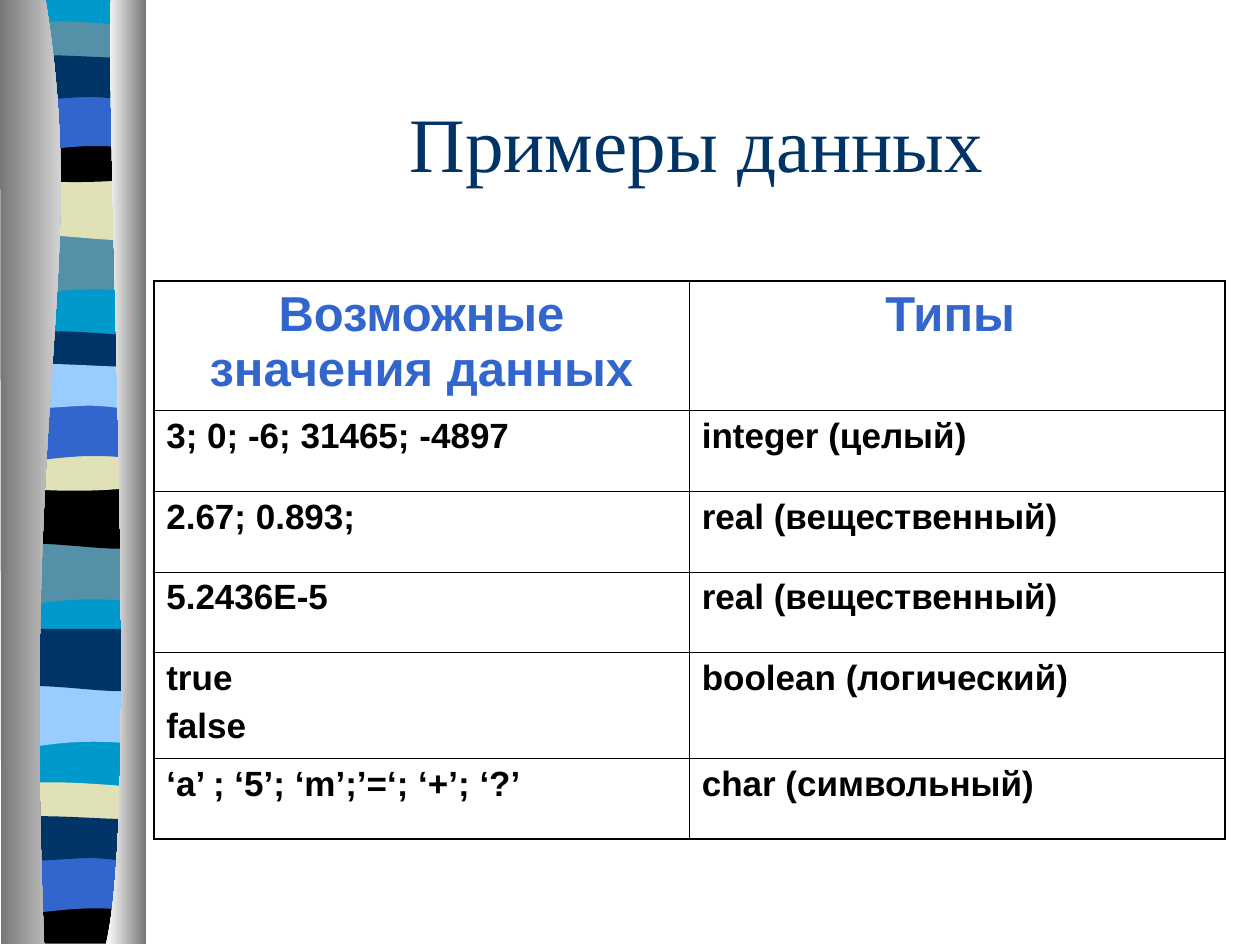
from dataclasses import dataclass

from lxml.etree import SubElement
from pptx import Presentation
from pptx.dml.color import RGBColor
from pptx.enum.shapes import MSO_SHAPE
from pptx.enum.text import MSO_ANCHOR, PP_ALIGN
from pptx.oxml.ns import qn
from pptx.util import Inches, Pt


@dataclass(frozen=True)
class Theme:
    navy: str = "003366"
    blue: str = "3366CC"
    cyan: str = "0099CC"
    teal: str = "5490A8"
    sky: str = "99CCFF"
    sand: str = "E1E1B7"
    black: str = "000000"
    white: str = "FFFFFF"
    grey: str = "767676"
    title_font: str = "Times New Roman"
    table_font: str = "Arial"
    title_size: int = 44
    header_size: int = 28
    body_size: int = 20
    outer_line: float = 1.08
    inner_line: float = 0.45


THEME = Theme()

# Outlines in hundredths of an inch; one point is a line, three are a curve.
OUTLINES = {
    "wave": [(108, 0), (108, 47), ((33, 39), (18, 55), (0, 47)), (0, 0)],
    "ripple": [(108, 0), (108, 47), ((90, 55), (33, 41), (0, 47)), (0, 0)],
    "tile": [(108, 5), (108, 29), ((90, 33), (18, 33), (0, 29)), (0, 5),
             ((6, 0), (23, 1), (41, 1)), ((59, 1), (94, 4), (108, 5))],
    "bowl": [(108, 0), (108, 32), ((90, 38), (18, 38), (0, 32)), (0, 0),
             ((66, 5), (85, 0), (108, 0))],
    "arch": [(108, 0), (108, 47), ((91, 42), (84, 42), (66, 42)),
             ((48, 42), (16, 47), (0, 47)), (0, 0)],
    "ribbon": [(108, 5), (108, 36), ((101, 41), (84, 36), (66, 36)),
               ((48, 36), (11, 41), (0, 36)), (0, 5),
               ((15, 0), (73, 5), (91, 5)), ((109, 5), (104, 5), (108, 5))],
    "base": [(108, 0), (108, 37), (0, 37), (0, 0), ((66, 5), (85, 0), (108, 0))],
    "left column": [(36, 0), ((71, 217), (17, 297), (35, 750)), (1, 750), (0, 0)],
    "right column": [(88, 0), ((84, 126), (111, 647), (84, 750)), (116, 750), (116, 0)],
}

# Outline, left, top and colour, from back to front.
BANDS = [
    ("wave", 0.06, 1.86, THEME.teal),
    ("ripple", 0.06, 1.42, THEME.sand),
    ("tile", 0.06, 0.17, THEME.teal),
    ("bowl", 0.06, 1.09, THEME.black),
    ("arch", 0.06, 0.75, THEME.blue),
    ("ribbon", 0.06, 0.42, THEME.navy),
    ("wave", 0.05, 4.32, THEME.teal),
    ("ripple", 0.05, 3.87, THEME.black),
    ("tile", 0.05, 2.63, THEME.navy),
    ("bowl", 0.05, 3.54, THEME.sand),
    ("arch", 0.05, 3.21, THEME.blue),
    ("ribbon", 0.05, 2.87, THEME.sky),
    ("wave", 0.06, 5.45, THEME.sky),
    ("ripple", 0.06, 5, THEME.navy),
    ("tile", 0.05, 6.21, THEME.sand),
    ("base", 0.05, 7.13, THEME.black),
    ("arch", 0.05, 6.8, THEME.blue),
    ("ribbon", 0.05, 6.46, THEME.navy),
]

HEADER = ["Возможные значения данных", "Типы "]
EXAMPLES = [
    ("3; 0; -6; 31465; -4897", "integer (целый)"),
    ("2.67; 0.893;", "real (вещественный)"),
    ("5.2436Е-5", "real (вещественный)"),
    ("true\nfalse", "boolean (логический)"),
    ("‘a’ ; ‘5’; ‘m’;’=‘; ‘+’; ‘?’", "char (символьный)"),
]
ROW_HEIGHTS = [1.03, 0.64, 0.64, 0.64, 0.84, 0.64]


def set_font(font, color, **values):
    for name, value in values.items():
        setattr(font, name, value)
    font.color.rgb = RGBColor.from_string(color)


def add_outline(shapes, name, left, top):
    """Draw a closed outline; every curve is laid as three lines, then bent."""
    start, *segments = OUTLINES[name]
    curves = [isinstance(segment[0], tuple) for segment in segments]
    points = []
    for segment, curved in zip(segments, curves):
        points.extend(segment if curved else [segment])
    builder = shapes.build_freeform(start[0], start[1], scale=Inches(0.01))
    builder.add_line_segments(points, close=True)
    shape = builder.convert_to_shape(Inches(left), Inches(top))
    lines = iter(shape.element.xpath(".//a:lnTo"))
    for curved in curves:
        line = next(lines)
        if curved:
            line.tag = qn("a:cubicBezTo")
            for _ in range(2):
                extra = next(lines)
                line.append(extra[0])
                extra.getparent().remove(extra)
    shape.shadow.inherit = False
    shape.line.fill.background()
    return shape


def add_side_strip(page, left, top, width, height):
    """Coloured bands between two shaded columns."""
    shapes = page.shapes.add_group_shape().shapes
    backing = shapes.add_shape(MSO_SHAPE.RECTANGLE, Inches(left + 0.06), Inches(top),
                               Inches(width - 0.08), Inches(height - 0.02))
    backing.shadow.inherit = False
    backing.fill.solid()
    backing.fill.fore_color.rgb = RGBColor.from_string(THEME.cyan)
    backing.line.fill.background()
    for name, band_left, band_top, color in BANDS:
        band = add_outline(shapes, name, left + band_left, top + band_top)
        band.fill.solid()
        band.fill.fore_color.rgb = RGBColor.from_string(color)
    for name, colors in [("left column", (THEME.grey, THEME.white)),
                         ("right column", (THEME.white, THEME.grey))]:
        fill = add_outline(shapes, name, left, top).fill
        fill.gradient()
        fill.gradient_angle = 0
        for stop, color in zip(fill.gradient_stops, colors):
            stop.color.rgb = RGBColor.from_string(color)


def set_borders(cell, widths):
    properties = cell._tc.get_or_add_tcPr()
    for index, (side, width) in enumerate(widths.items()):
        line = SubElement(properties, qn(f"a:ln{side}"), w=str(Pt(width)))
        fill = SubElement(line, qn("a:solidFill"))
        SubElement(fill, qn("a:srgbClr"), val=THEME.black)
        properties.insert(index, line)


def add_type_table(page, left, top, width, height):
    rows = [HEADER, *EXAMPLES]
    last = len(rows) - 1
    table = page.shapes.add_table(len(rows), 2, Inches(left), Inches(top),
                                  Inches(width), Inches(height)).table
    table.first_row = table.horz_banding = False
    for row, row_height in zip(table.rows, ROW_HEIGHTS):
        row.height = Inches(row_height)
    for row, texts in enumerate(rows):
        size, color = ((THEME.body_size, THEME.black) if row
                       else (THEME.header_size, THEME.blue))
        for column, text in enumerate(texts):
            cell = table.cell(row, column)
            cell.text = text
            cell.fill.background()
            outer = {"L": column == 0, "R": column == 1, "T": row == 0, "B": row == last}
            set_borders(cell, {side: THEME.outer_line if edge else THEME.inner_line
                               for side, edge in outer.items()})
            for index, para in enumerate(cell.text_frame.paragraphs):
                para.alignment = PP_ALIGN.LEFT if row else PP_ALIGN.CENTER
                if index:
                    para.space_before = Pt(5)
                set_font(para.runs[0].font, color, name=THEME.table_font,
                         size=Pt(size), bold=True)


def add_title(page, left, top, width, height):
    box = page.shapes.add_textbox(Inches(left), Inches(top), Inches(width), Inches(height))
    frame = box.text_frame
    frame.word_wrap = True
    frame.vertical_anchor = MSO_ANCHOR.MIDDLE
    para = frame.paragraphs[0]
    para.alignment = PP_ALIGN.CENTER
    span = para.add_run()
    span.text = "Примеры данных"
    set_font(span.font, THEME.navy, name=THEME.title_font, size=Pt(THEME.title_size))


def main():
    deck = Presentation()
    deck.slide_width, deck.slide_height = Inches(10), Inches(7.5)
    page = deck.slides.add_slide(deck.slide_layouts[6])
    add_side_strip(page, 0, -0.01, 1.16, 7.5)
    add_type_table(page, 1.22, 2.23, 8.5, 4.43)
    add_title(page, 1.28, 0.5, 8.5, 1.25)
    deck.save("out.pptx")


if __name__ == "__main__":
    main()
